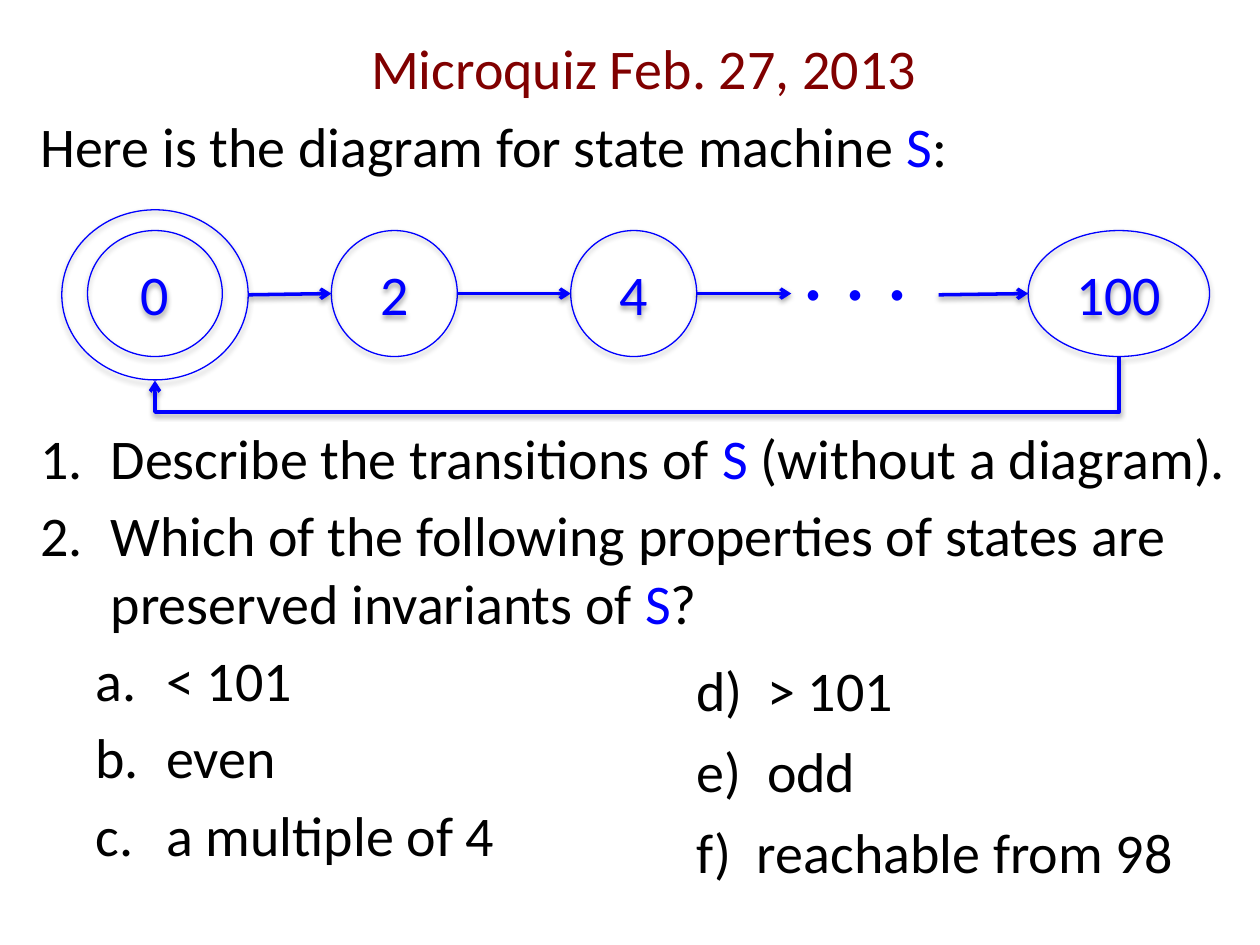
from lxml.etree import SubElement
from pptx import Presentation
from pptx.dml.color import RGBColor
from pptx.enum.shapes import MSO_CONNECTOR, MSO_SHAPE
from pptx.enum.text import MSO_ANCHOR, PP_ALIGN
from pptx.oxml.ns import qn
from pptx.util import Inches, Pt

BLACK = RGBColor(0, 0, 0)
BLUE = RGBColor(0, 0, 255)
MAROON = RGBColor(128, 0, 0)
GAP = 5.8   # points between paragraphs
ROOM = 140  # points left free for the diagram


def put(item, values):
    for name, value in values.items():
        setattr(item, name, value)


def shade(shape, alpha, dist):
    """Give a shape or connector a soft shadow straight below it."""
    props = shape._element.spPr
    glow = SubElement(SubElement(props, qn("a:effectLst")), qn("a:outerShdw"),
                      blurRad=str(Pt(3.1)), dist=str(Pt(dist)),
                      dir="5400000", rotWithShape="0")
    black = SubElement(glow, qn("a:srgbClr"), val="000000")
    SubElement(black, qn("a:alpha"), val=str(alpha * 1000))


class Quiz:
    font = {"name": "Calibri", "size": Pt(32)}

    def __init__(self, slide):
        self.slide = slide

    def box(self, left, top, width, height):
        area = map(Inches, (left, top, width, height))
        frame = self.slide.shapes.add_textbox(*area).text_frame
        frame.word_wrap = True
        return frame

    def para(self, frame, runs, mark=None, left=0, hang=0.56, start=1, **form):
        """Write (text, colour) runs, numbered when a mark scheme is given."""
        para = frame.paragraphs[0]
        if para.runs:
            para = frame.add_paragraph()
        if mark:
            props = para._p.get_or_add_pPr()
            props.set("marL", str(Inches(left)))
            props.set("indent", str(-Inches(hang)))
            num = SubElement(props, qn("a:buAutoNum"), type=mark)
            if start > 1:
                num.set("startAt", str(start))
        put(para, form)
        for text, color in runs:
            run = para.add_run()
            run.text = text
            put(run.font, self.font)
            run.font.color.rgb = color
        return para

    def state(self, mid, width, height=1, text="", drop=0):
        """Draw an ellipse centred on mid, in the row of states."""
        area = map(Inches, (mid - width / 2, 2.33 - height / 2 + drop, width, height))
        oval = self.slide.shapes.add_shape(MSO_SHAPE.OVAL, *area)
        oval.fill.background()
        put(oval.line, {"width": Pt(0.75)})
        oval.line.color.rgb = BLUE
        shade(oval, 35, 1.8)
        if text:
            oval.text_frame.vertical_anchor = MSO_ANCHOR.MIDDLE
            self.para(oval.text_frame, [(text, BLUE)], alignment=PP_ALIGN.CENTER)

    def arrow(self, x1, y1, x2, y2, kind=MSO_CONNECTOR.STRAIGHT):
        ends = map(Inches, (x1, y1, x2, y2))
        line = self.slide.shapes.add_connector(kind, *ends)
        line.line.width = Pt(2)
        line.line.color.rgb = BLUE
        SubElement(line.line._get_or_add_ln(), qn("a:tailEnd"), type="arrow")
        shade(line, 38, 1.6)
        return line

    def loop(self, x1, y1, x2, y2, low):
        """Run an arrow down from one state, along low, and up to another."""
        mid, half = (x1 + x2) / 2, (x1 - x2) / 2
        rise = y2 - y1
        cy = (y1 + y2) / 2
        line = self.arrow(mid - rise / 2, cy - half, mid + rise / 2, cy + half,
                          MSO_CONNECTOR.ELBOW)
        props = line._element.spPr
        props.find(qn("a:xfrm")).set("rot", "5400000")
        geom = props.find(qn("a:prstGeom"))
        list_ = geom.find(qn("a:avLst"))
        if list_ is None:
            list_ = SubElement(geom, qn("a:avLst"))
        bend = round((low - y1) / rise * 100000)
        SubElement(list_, qn("a:gd"), name="adj1", fmla=f"val {bend}")


def main():
    deck = Presentation()
    put(deck, {"slide_width": Inches(10), "slide_height": Inches(7.5)})
    quiz = Quiz(deck.slides.add_slide(deck.slide_layouts[6]))

    body = quiz.box(0.22, 0.22, 9.78, 7.1)
    quiz.para(body, [("Microquiz Feb. 27, 2013", MAROON)], alignment=PP_ALIGN.CENTER)
    quiz.para(body, [("Here is the diagram for state machine ", BLACK),
                     ("S", BLUE), (":", BLACK)], space_before=Pt(GAP))
    asks = [("Describe the transitions of ", " (without a diagram).", ROOM),
            ("Which of the following properties of states are preserved "
             "invariants of ", "?", GAP)]
    for head, tail, gap in asks:
        quiz.para(body, [(head, BLACK), ("S", BLUE), (tail, BLACK)],
                  "arabicPeriod", 0.56, space_before=Pt(gap))
    for text in ("< 101", "even", "a multiple of 4"):
        quiz.para(body, [(text, BLACK)], "alphaLcPeriod", 1,
                  level=1, space_before=Pt(GAP))

    states = [("0", 1.23, 1.07), ("2", 3.13, 1), ("4", 5.03, 1), ("100", 8.88, 1.44)]
    for text, mid, width in states:
        quiz.state(mid, width, text=text)
    quiz.state(1.23, 1.48, 1.35, drop=0.01)

    for x1, y1, x2 in [(1.97, 2.34, 2.63), (3.63, 2.33, 4.53),
                       (5.53, 2.33, 6.28), (7.45, 2.34, 8.16)]:
        quiz.arrow(x1, y1, x2, 2.33)
    quiz.loop(8.88, 2.83, 1.23, 3.02, low=3.27)
    dots = quiz.para(quiz.box(6.27, 1.64, 1.33, 0.94), [(". . .", BLUE)])
    dots.runs[0].font.size = Pt(50)

    more = quiz.box(5.43, 5.05, 4, 2.02)
    for text, hang in [("> 101", 0.56), ("odd", 0.56), ("reachable from 98", 0.48)]:
        quiz.para(more, [(text, BLACK)], "alphaLcParenR", hang, hang, 4,
                  line_spacing=1.2)

    deck.save("out.pptx")


if __name__ == "__main__":
    main()
